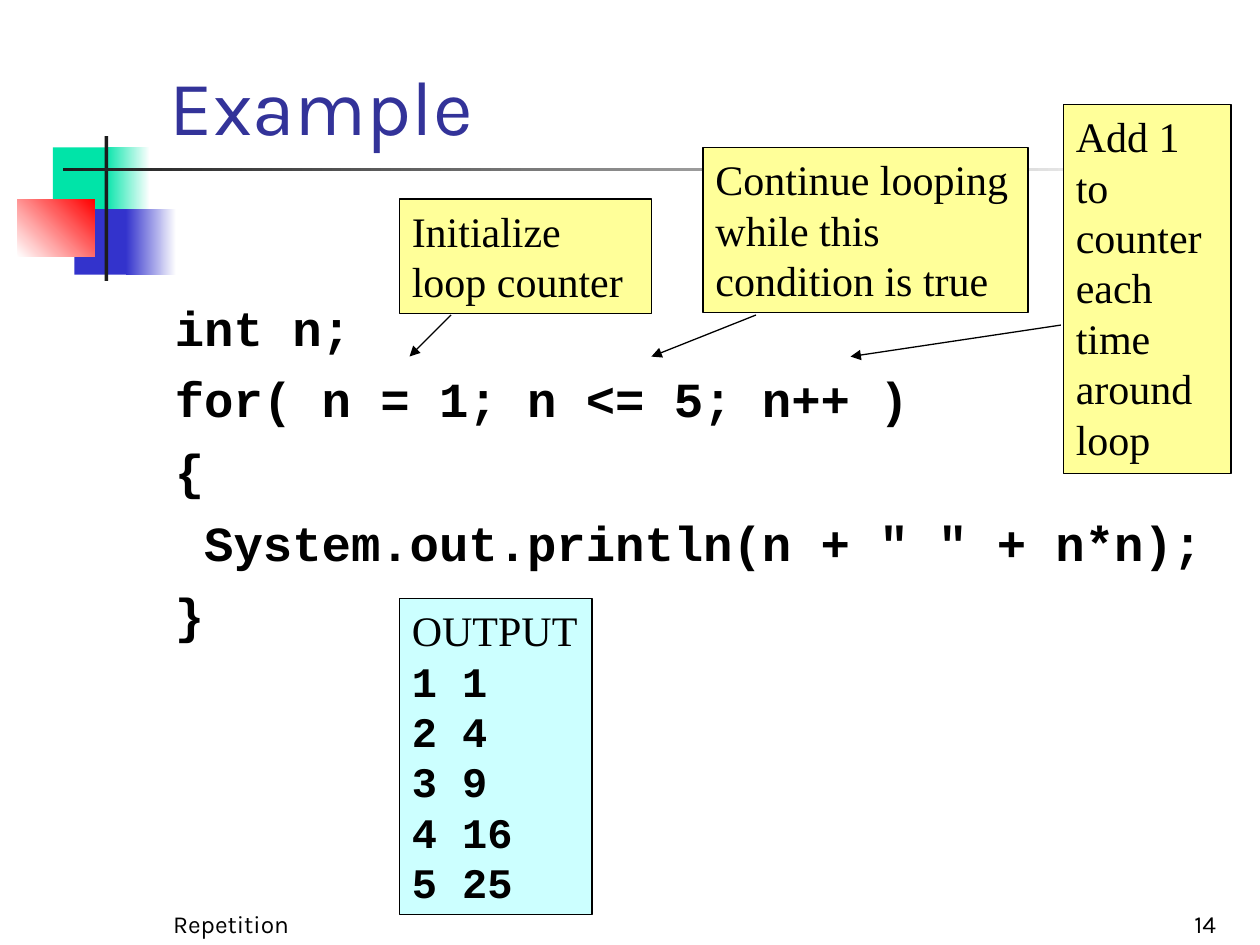
"""Build the 'Example' slide: an annotated for loop with its output."""
import pptx
import pptx.util
import pptx.dml.color
import pptx.enum.shapes
import pptx.enum.text
import pptx.oxml

Inches, Pt = pptx.util.Inches, pptx.util.Pt
ALIGN = pptx.enum.text.PP_ALIGN
ANCHOR = pptx.enum.text.MSO_ANCHOR

COLORS = {
    "black": "000000", "white": "FFFFFF", "title": "333399", "green": "00E4A8",
    "blue": "3333CC", "red": "FF0000", "bar": "1C1C1C", "note": "FFFF99",
    "output": "CCFFFF",
}
HEADING, PROSE, CODE = "Karla", "Times New Roman", "Courier New"

DECOR = [
    ((0.42, 1.17, 0.48, 0.52), ["green"], 0),
    ((0.83, 1.17, 0.36, 0.52), ["green", "white"], 0),
    ((0.59, 1.66, 0.46, 0.52), ["blue"], 0),
    ((1, 1.66, 0.4, 0.52), ["blue", "white"], 0),
    ((0.14, 1.58, 0.61, 0.46), ["white", "red"], 45),
    ((0.83, 1.08, 0.03, 1.15), ["bar"], 0),
    ((0.5, 1.33, 9, 0.03), ["bar", "white"], 0),
]
CODE_LINES = [
    "int n;",
    "for( n = 1; n <= 5; n++ )",
    "{",
    ' System.out.println(n + " " + n*n);',
    "}",
]
NOTES = [
    ("Initialize loop counter", (3.17, 1.58, 2, 0.91), (3.58, 2.5), (3.25, 2.83)),
    ("Continue looping while this condition is true", (5.58, 1.17, 2.58, 1.31),
     (6, 2.5), (5.17, 2.83)),
    ("Add 1 to counter each time around loop", (8.44, 0.83, 1.33, 2.93),
     (8.42, 2.58), (6.75, 2.83)),
]
OUTPUT_LINES = [f"{n} {n * n}" for n in range(1, 6)]

deck = pptx.Presentation()
deck.slide_width, deck.slide_height = Inches(10), Inches(7.5)
slide = deck.slides.add_slide(deck.slide_layouts[6])


def rgb(name):
    return pptx.dml.color.RGBColor.from_string(COLORS[name])


def add_box(area, fills, angle=0, outline=None):
    box = slide.shapes.add_shape(
        pptx.enum.shapes.MSO_SHAPE.RECTANGLE, *map(Inches, area))
    box.shadow.inherit = False
    if len(fills) == 1:
        box.fill.solid()
        box.fill.fore_color.rgb = rgb(fills[0])
    else:
        box.fill.gradient()
        box.fill.gradient_angle = angle
        for stop, name in zip(box.fill.gradient_stops, fills):
            stop.color.rgb = rgb(name)
    if outline:
        box.line.color.rgb = rgb(outline)
        box.line.width = Pt(0.75)
    else:
        box.line.fill.background()
    return box


def write(shape, lines, size=24, font=PROSE, color="black", bold=False,
          align=ALIGN.LEFT, anchor=ANCHOR.TOP, gap=0, wrap=True, first_font=None):
    frame = shape.text_frame
    frame.word_wrap = wrap
    frame.vertical_anchor = anchor
    for index, line in enumerate(lines):
        paragraph = frame.add_paragraph() if index else frame.paragraphs[0]
        paragraph.alignment = align
        paragraph.space_before = Pt(gap if index else 0)
        run = paragraph.add_run()
        run.text = line
        heads = first_font and index == 0
        run.font.name = first_font if heads else font
        run.font.bold = bold and not heads
        run.font.size = Pt(size)
        run.font.color.rgb = rgb(color)


def add_text(area, lines, **style):
    write(slide.shapes.add_textbox(*map(Inches, area)), lines, **style)


def add_arrow(start, end):
    arrow = slide.shapes.add_connector(
        pptx.enum.shapes.MSO_CONNECTOR.STRAIGHT, *map(Inches, start + end))
    arrow.line.color.rgb = rgb("black")
    arrow.line.width = Pt(0.75)
    head = pptx.oxml.parse_xml(
        '<a:tailEnd xmlns:a="http://schemas.openxmlformats.org/drawingml/2006/main"'
        ' type="triangle"/>')
    arrow.line._get_or_add_ln().append(head)
    arrow._element.spPr.append(pptx.oxml.parse_xml(
        '<a:effectLst xmlns:a="http://schemas.openxmlformats.org/drawingml/2006/main"/>'))


for area, fills, angle in DECOR:
    add_box(area, fills, angle)

add_text((0.25, 7, 3.17, 0.5), ["Repetition"], size=14, font=HEADING,
         align=ALIGN.CENTER, anchor=ANCHOR.BOTTOM)
add_text((7.67, 7, 2.08, 0.5), ["14"], size=14, font=HEADING,
         align=ALIGN.RIGHT, anchor=ANCHOR.BOTTOM)
add_text((1.25, 0, 8.52, 1.25), ["Example"], size=44, font=HEADING,
         color="title", anchor=ANCHOR.BOTTOM)
add_text((1.29, 2.31, 8.5, 4.4), CODE_LINES, size=28, font=CODE, bold=True, gap=7.4)

for note, area, start, end in NOTES:
    write(add_box(area, ["note"], outline="black"), [note])
    add_arrow(start, end)

write(add_box((3.17, 4.75, 1.53, 2.51), ["output"], outline="black"),
      ["OUTPUT"] + OUTPUT_LINES, font=CODE, bold=True, wrap=False, first_font=PROSE)

deck.save("out.pptx")
